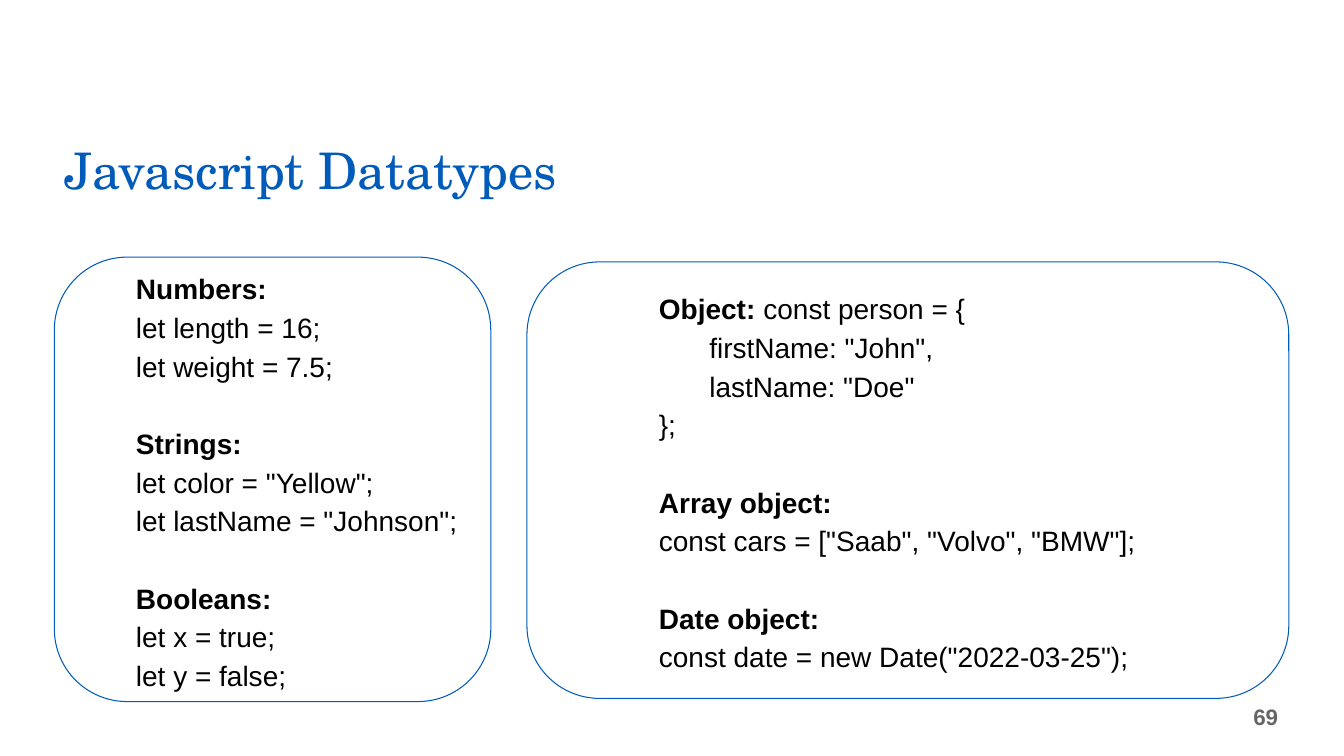
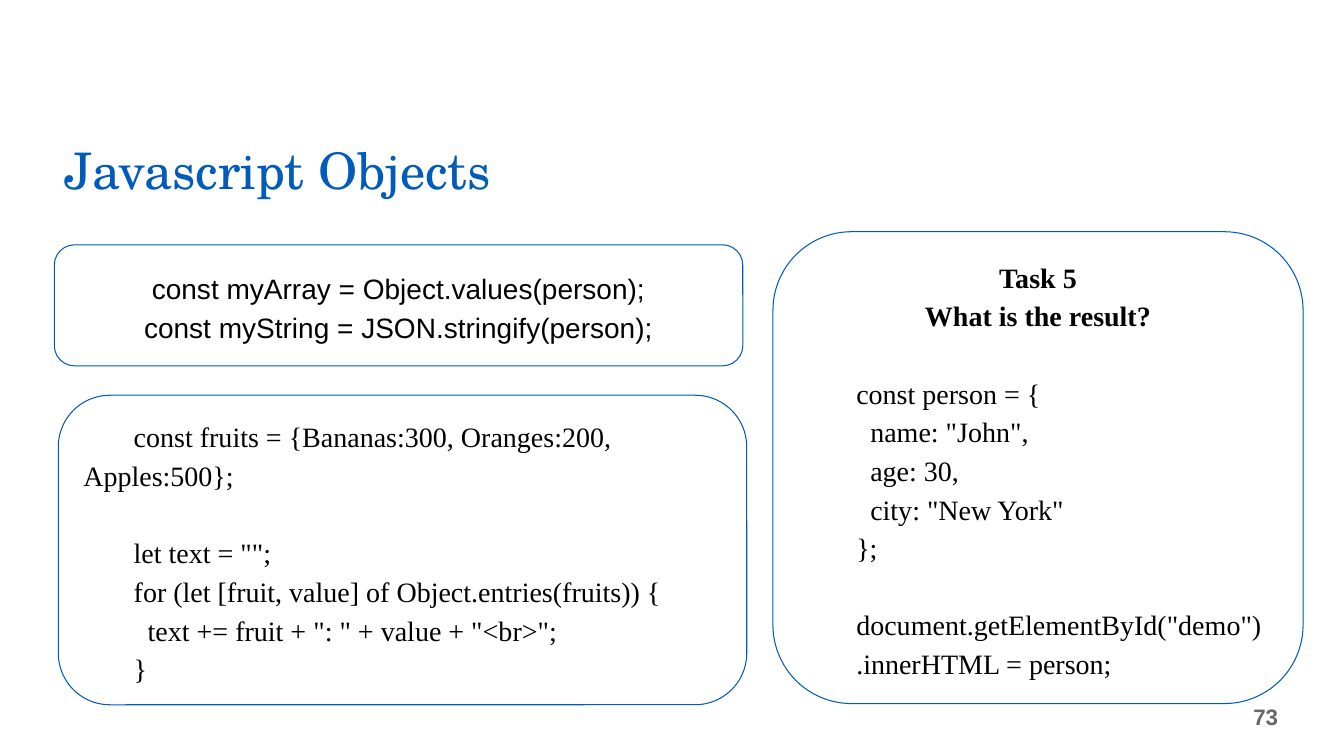
from dataclasses import dataclass

from pptx import Presentation
from pptx.dml.color import RGBColor
from pptx.enum.shapes import MSO_SHAPE as Shape
from pptx.enum.text import MSO_ANCHOR as Anchor, PP_ALIGN as Align
from pptx.util import Cm, Pt

COLORS = {"blue": "005BBB", "white": "FFFFFF", "black": "000000", "gray": "666666"}
SANS, SERIF, TITLE_FONT = "Arial", "Times New Roman", "TeX Gyre Schola"
TAB = 1.27
BLOCK_GAP = 27.6


@dataclass
class Line:
    """One line of a panel: a bold heading, plain code, or both."""
    code: str = ""
    heading: str = ""
    left: float = 0
    first: float = 0
    align: Align = Align.LEFT


def indented(left, first, *codes):
    return [Line(code, left=left, first=first) for code in codes]


def topic(heading, left, *codes):
    """A heading with code lines below it, all at one indent."""
    return [Line(heading=heading, left=left, first=TAB), *indented(left, TAB, *codes)]


class Deck:
    def __init__(self):
        self.prs = Presentation()
        self.prs.slide_width, self.prs.slide_height = Cm(33.87), Cm(19.05)
        self.slide = None

    def add_slide(self, title, number):
        self.slide = self.prs.slides.add_slide(self.prs.slide_layouts[6])
        self.page_number(number)
        self.title(title)

    def color(self, name):
        return RGBColor.from_string(COLORS[name])

    def style(self, run, font, size, color, bold=False):
        run.font.name, run.font.size, run.font.bold = font, Pt(size), bold
        run.font.color.rgb = self.color(color)

    def frame(self, shape, anchor, margin_y=0.25):
        frame = shape.text_frame
        frame.word_wrap, frame.vertical_anchor = True, anchor
        frame.margin_left = frame.margin_right = Cm(0.25)
        frame.margin_top = frame.margin_bottom = Cm(margin_y)
        return frame

    def label(self, text, box, anchor, margin_y):
        """Place a one-line text box and return its paragraph."""
        frame = self.frame(self.slide.shapes.add_textbox(*map(Cm, box)), anchor, margin_y)
        frame.text = text
        return frame.paragraphs[0]

    def title(self, text):
        heading = self.label(text, (1.37, 3.43, 25.22, 1.91), Anchor.TOP, 0.25)
        heading.line_spacing = 0.9
        self.style(heading.runs[0], TITLE_FONT, 36, "blue")

    def page_number(self, number):
        page = self.label(str(number), (21.03, 17.55, 11.43, 1.02), Anchor.MIDDLE, 0.13)
        page.alignment = Align.RIGHT
        self.style(page.runs[0], SANS, 16, "gray", bold=True)

    def panel(self, box, font, *blocks):
        """Draw a rounded panel whose blocks of lines are one line apart."""
        panel = self.slide.shapes.add_shape(Shape.ROUNDED_RECTANGLE, *map(Cm, box))
        panel.shadow.inherit = False
        panel.fill.solid()
        panel.fill.fore_color.rgb = self.color("white")
        panel.line.color.rgb = self.color("blue")
        panel.line.width = Pt(0.75)
        frame = self.frame(panel, Anchor.MIDDLE)
        lines = [line for block in blocks for line in block]
        frame.text = "\n".join(line.heading or line.code for line in lines)
        block_starts = [id(block[0]) for block in blocks[1:]]
        for paragraph, line in zip(frame.paragraphs, lines):
            if line.heading and line.code:
                paragraph.add_run().text = line.code
            for index, run in enumerate(paragraph.runs):
                self.style(run, font, 20, "black", bold=bool(line.heading) and index == 0)
            self.layout(paragraph, line, BLOCK_GAP if id(line) in block_starts else 0)

    def layout(self, paragraph, line, gap):
        paragraph.alignment = line.align
        paragraph.line_spacing = 1.15
        paragraph.space_before = Pt(gap)
        properties = paragraph._p.get_or_add_pPr()
        properties.set("marL", str(Cm(line.left)))
        properties.set("indent", str(Cm(line.first)))


def datatypes(deck):
    deck.add_slide("Javascript Datatypes", 69)
    deck.panel(
        (1.37, 6.48, 11, 11.2), SANS,
        topic("Numbers:", 0, "let length = 16;", "let weight = 7.5;"),
        topic("Strings:", 0, 'let color = "Yellow";', 'let lastName = "Johnson";'),
        topic("Booleans:", 0, "let x = true;", "let y = false;"),
    )
    person = [
        Line("const person = {", "Object: ", TAB, TAB),
        *indented(2 * TAB, TAB, 'firstName: "John",', 'lastName: "Doe"'),
        *indented(TAB, TAB, "};"),
    ]
    deck.panel(
        (13.28, 6.6, 19.2, 11), SANS,
        person,
        topic("Array object:", TAB, 'const cars = ["Saab", "Volvo", "BMW"];'),
        topic("Date object:", TAB, 'const date = new Date("2022-03-25");'),
    )


def objects(deck):
    deck.add_slide("Javascript Objects", 73)
    deck.panel(
        (1.47, 9.96, 17.35, 7.8), SERIF,
        indented(0, TAB, "const fruits = {Bananas:300, Oranges:200, Apples:500};"),
        indented(0, TAB, 'let text = "";',
                 "for (let [fruit, value] of Object.entries(fruits)) {",
                 '  text += fruit + ": " + value + "<br>";',
                 "}"),
    )
    conversions = ("const myArray = Object.values(person);",
                   "const myString = JSON.stringify(person);")
    deck.panel((1.37, 6.17, 17.35, 3.05), SANS,
               [Line(code, align=Align.CENTER) for code in conversions])
    task = ("Task 5", "What is the result?")
    deck.panel(
        (19.48, 5.84, 13.36, 11.89), SERIF,
        [Line(heading=text, align=Align.CENTER) for text in task],
        indented(TAB, 0, "const person = {", '  name: "John",', "  age: 30,",
                 '  city: "New York"', "};"),
        indented(TAB, 0, 'document.getElementById("demo")', ".innerHTML = person;"),
    )


def main():
    deck = Deck()
    datatypes(deck)
    objects(deck)
    deck.prs.save("out.pptx")


if __name__ == "__main__":
    main()
